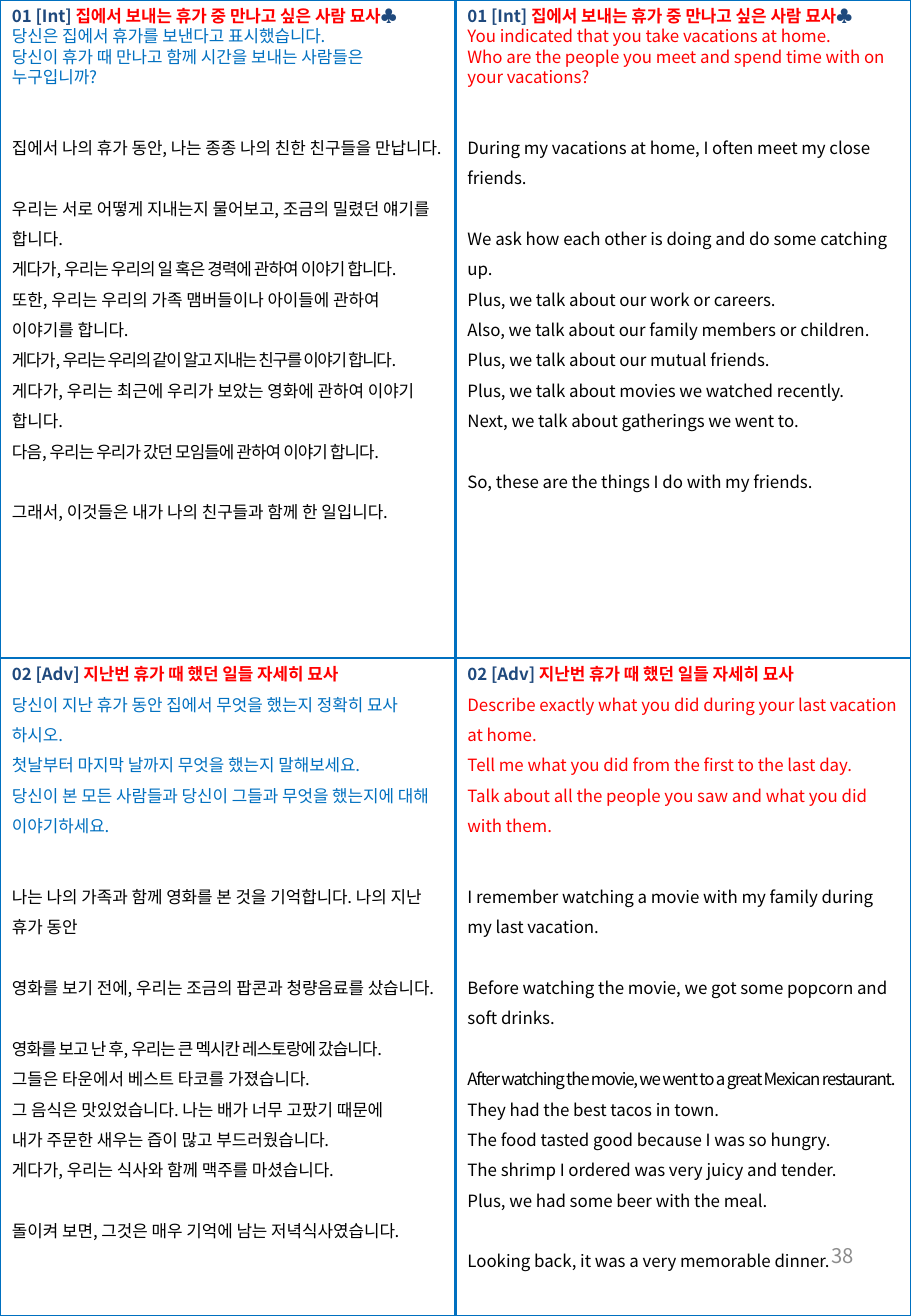
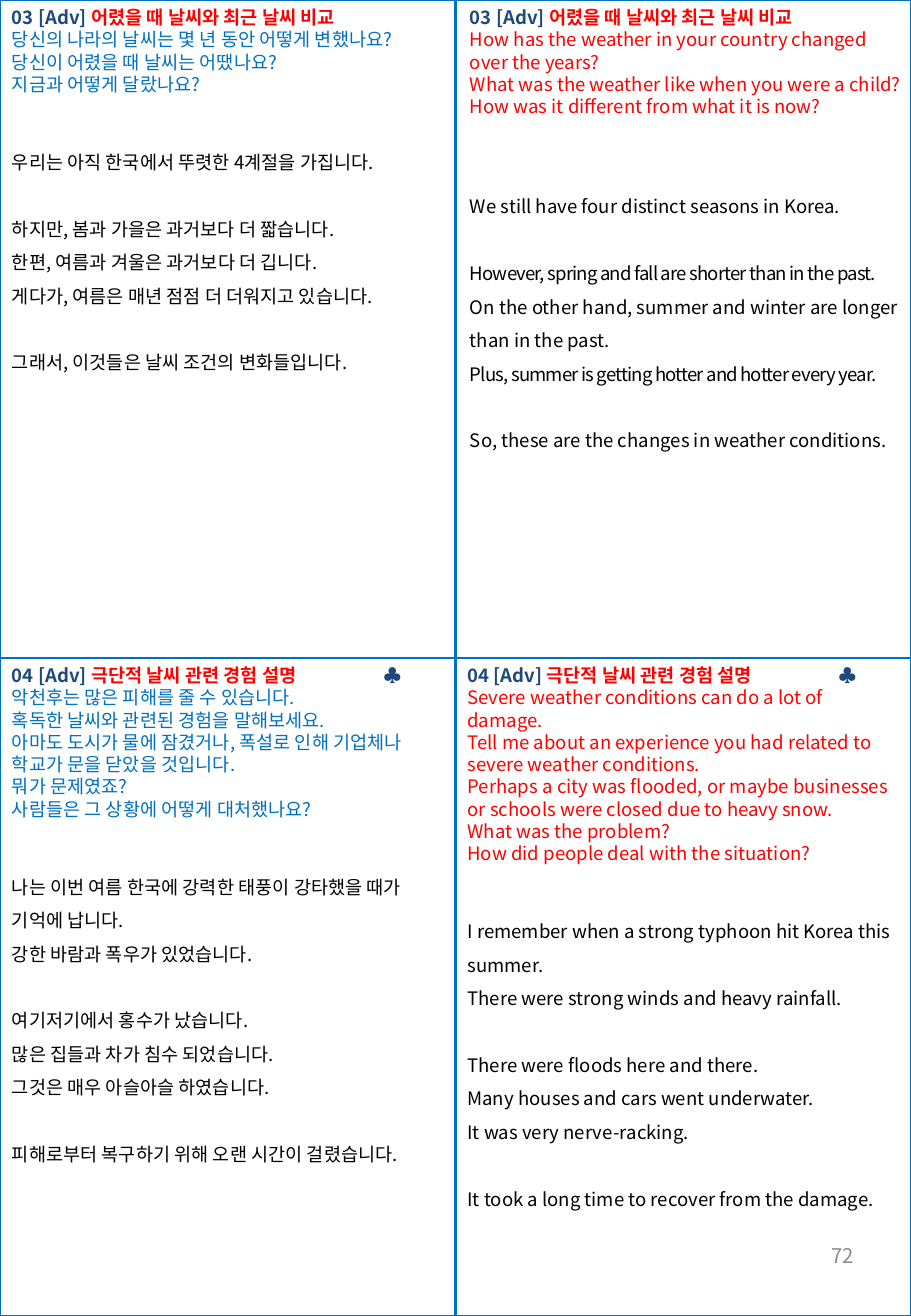
from lxml.etree import SubElement
from pptx import Presentation
from pptx.dml.color import RGBColor
from pptx.enum.shapes import MSO_CONNECTOR, MSO_SHAPE
from pptx.enum.text import MSO_ANCHOR, MSO_AUTO_SIZE, PP_ALIGN
from pptx.oxml.ns import qn
from pptx.util import Pt

FONT = "Noto Sans CJK KR"
NAVY, BLUE, RED, BLACK, GRAY = "1F497D", "0070C0", "FF0000", "000000", "8C8C8C"
WIDTH, HEIGHT = 540, 780
HALF_WIDTH, HALF_HEIGHT = WIDTH / 2, HEIGHT / 2
SINGLE, WIDE = 1.2, 1.8  # line pitch as a multiple of the text size
CLUB_TAB = 220

# Each answer is a list of groups; a line may be a (text, letter spacing) pair.
VACATION_PEOPLE = {
    "tag": "01 [Int] ", "title": "집에서 보내는 휴가 중 만나고 싶은 사람 묘사", "club": "♣",
    "korean": {
        "height": 332,
        "question": ["당신은 집에서 휴가를 보낸다고 표시했습니다.\n"
                     "당신이 휴가 때 만나고 함께 시간을 보내는 사람들은 누구입니까?"],
        "answer": [
            ["집에서 나의 휴가 동안, 나는 종종 나의 친한 친구들을 만납니다."],
            ["우리는 서로 어떻게 지내는지 물어보고, 조금의 밀렸던 얘기를 합니다.",
             ("게다가, 우리는 우리의 일 혹은 경력에 관하여 이야기 합니다.", -0.5),
             "또한, 우리는 우리의 가족 맴버들이나 아이들에 관하여 이야기를 합니다.",
             ("게다가, 우리는 우리의 같이 알고 지내는 친구를 이야기 합니다.", -0.8),
             "게다가, 우리는 최근에 우리가 보았는 영화에 관하여 이야기 합니다.",
             ("다음, 우리는 우리가 갔던 모임들에 관하여 이야기 합니다.", -0.5)],
            ["그래서, 이것들은 내가 나의 친구들과 함께 한 일입니다."],
        ],
    },
    "english": {
        "height": 296,
        "question": ["You indicated that you take vacations at home.",
                     "Who are the people you meet and spend time with on your vacations?"],
        "answer": [
            ["During my vacations at home, I often meet my close friends."],
            ["We ask how each other is doing and do some catching up.",
             "Plus, we talk about our work or careers.",
             "Also, we talk about our family members or children.",
             "Plus, we talk about our mutual friends.",
             "Plus, we talk about movies we watched recently.",
             "Next, we talk about gatherings we went to."],
            ["So, these are the things I do with my friends."],
        ],
    },
}

LAST_VACATION = {
    "tag": "02 [Adv] ", "title": "지난번 휴가 때 했던 일들 자세히 묘사",
    "question_pitch": WIDE,
    "korean": {
        "height": 369,
        "question": ["당신이 지난 휴가 동안 집에서 무엇을 했는지 정확히 묘사 하시오.\n"
                     "첫날부터 마지막 날까지 무엇을 했는지 말해보세요.\n"
                     "당신이 본 모든 사람들과 당신이 그들과 무엇을 했는지에 대해 이야기하세요."],
        "answer": [
            ["나는 나의 가족과 함께 영화를 본 것을 기억합니다. 나의 지난 휴가 동안"],
            ["영화를 보기 전에, 우리는 조금의 팝콘과 청량음료를 샀습니다."],
            [("영화를 보고 난 후, 우리는 큰 멕시칸 레스토랑에 갔습니다.", -0.5),
             "그들은 타운에서 베스트 타코를 가졌습니다.",
             "그 음식은 맛있었습니다. 나는 배가 너무 고팠기 때문에",
             "내가 주문한 새우는 즙이 많고 부드러웠습니다.",
             "게다가, 우리는 식사와 함께 맥주를 마셨습니다."],
            ["돌이켜 보면, 그것은 매우 기억에 남는 저녁식사였습니다."],
        ],
    },
    "english": {
        "height": 369,
        "question": ["Describe exactly what you did during your last vacation at home.",
                     "Tell me what you did from the first to the last day.",
                     "Talk about all the people you saw and what you did with them."],
        "answer": [
            ["I remember watching a movie with my family during my last vacation."],
            ["Before watching the movie, we got some popcorn and soft drinks."],
            [("After watching the movie, we went to a great Mexican restaurant.", -0.7),
             "They had the best tacos in town.",
             "The food tasted good because I was so hungry.",
             "The shrimp I ordered was very juicy and tender.",
             "Plus, we had some beer with the meal."],
            ["Looking back, it was a very memorable dinner."],
        ],
    },
}

WEATHER_CHANGE = {
    "tag": "03 [Adv] ", "title": "어렸을 때 날씨와 최근 날씨 비교",
    "korean": {
        "height": 224,
        "question": ["당신의 나라의 날씨는 몇 년 동안 어떻게 변했나요?\n"
                     "당신이 어렸을 때 날씨는 어땠나요?\n지금과 어떻게 달랐나요?"],
        "answer": [
            ["우리는 아직 한국에서 뚜렷한 4계절을 가집니다."],
            ["하지만, 봄과 가을은 과거보다 더 짧습니다.",
             "한편, 여름과 겨울은 과거보다 더 깁니다.",
             "게다가, 여름은 매년 점점 더 더워지고 있습니다."],
            ["그래서, 이것들은 날씨 조건의 변화들입니다."],
        ],
    },
    "english": {
        "height": 271.5, "shift": 1.5, "gap_pitch": WIDE,
        "question": ["How has the weather in your country changed over the years?",
                     "What was the weather like when you were a child?",
                     "How was it different from what it is now?"],
        "answer": [
            ["We still have four distinct seasons in Korea."],
            [("However, spring and fall are shorter than in the past.", -0.5),
             "On the other hand, summer and winter are longer than in the past.",
             ("Plus, summer is getting hotter and hotter every year.", -0.5)],
            ["So, these are the changes in weather conditions."],
        ],
    },
}

SEVERE_WEATHER = {
    "tag": "04 [Adv] ", "title": "극단적 날씨 관련 경험 설명", "club": "\t♣",
    "korean": {
        "height": 317,
        "question": ["악천후는 많은 피해를 줄 수 있습니다.\n"
                     "혹독한 날씨와 관련된 경험을 말해보세요.\n"
                     "아마도 도시가 물에 잠겼거나, 폭설로 인해 기업체나 학교가 문을 닫았을 것입니다.\n"
                     "뭐가 문제였죠?\n사람들은 그 상황에 어떻게 대처했나요?"],
        "answer": [
            ["나는 이번 여름 한국에 강력한 태풍이 강타했을 때가 기억에 납니다.",
             "강한 바람과 폭우가 있었습니다."],
            ["여기저기에서 홍수가 났습니다.",
             "많은 집들과 차가 침수 되었습니다.",
             "그것은 매우 아슬아슬 하였습니다."],
            ["피해로부터 복구하기 위해 오랜 시간이 걸렸습니다."],
        ],
    },
    "english": {
        "height": 318,
        "question": ["Severe weather conditions can do a lot of damage.",
                     "Tell me about an experience you had related to severe weather conditions.",
                     "Perhaps a city was flooded, or maybe businesses or schools were closed "
                     "due to heavy snow.",
                     "What was the problem?",
                     "How did people deal with the situation?"],
        "answer": [
            ["I remember when a strong typhoon hit Korea this summer.",
             "There were strong winds and heavy rainfall."],
            ["There were floods here and there.",
             "Many houses and cars went underwater.",
             "It was very nerve-racking."],
            ["It took a long time to recover from the damage."],
        ],
    },
}


def rgb(value):
    return RGBColor.from_string(value)


def set_all(target, formats):
    for name, value in formats.items():
        setattr(target, name, value)


def add_text(paragraph, text, size, color, bold=False, spacing=0):
    """Append a run, turning each newline into a line break."""
    for index, piece in enumerate(text.split("\n")):
        if index:
            paragraph.add_line_break()
        run = paragraph.add_run()
        run.text = piece
        set_all(run.font, {"name": FONT, "size": Pt(size), "bold": bold})
        run.font.color.rgb = rgb(color)
        properties = run.font._element
        SubElement(properties, qn("a:ea"), typeface=FONT)
        if spacing:
            properties.set("spc", str(round(spacing * 100)))


def add_text_box(slide, left, top, width, height, formats):
    box = slide.shapes.add_textbox(Pt(left), Pt(top), Pt(width), Pt(height))
    set_all(box.text_frame, {"word_wrap": True, **formats})
    return box.text_frame


def add_heading(paragraph, topic, size):
    club = topic.get("club", "")
    if club.startswith("\t"):
        tabs = SubElement(paragraph._p.get_or_add_pPr(), qn("a:tabLst"))
        SubElement(tabs, qn("a:tab"), pos=str(Pt(CLUB_TAB)), algn="l")
    paragraph.line_spacing = Pt(size * SINGLE)
    for text, color in ((topic["tag"], NAVY), (topic["title"], RED), (club, NAVY)):
        if text:
            add_text(paragraph, text, size, color, bold=True)


def add_card(slide, left, top, topic, language, size):
    card = topic[language]
    frame = add_text_box(slide, left + card.get("shift", 0), top, HALF_WIDTH, card["height"],
                         {"auto_size": MSO_AUTO_SIZE.SHAPE_TO_FIT_TEXT})
    add_heading(frame.paragraphs[0], topic, size)

    def add_line(text, color, pitch, before=0, spacing=0):
        paragraph = frame.add_paragraph()
        set_all(paragraph, {"line_spacing": Pt(size * pitch), "space_before": Pt(before)})
        add_text(paragraph, text, size, color, spacing=spacing)

    for text in card["question"]:
        add_line(text, BLUE if language == "korean" else RED,
                 topic.get("question_pitch", SINGLE))
    gap = 2 * size * card.get("gap_pitch", SINGLE)
    for group in card["answer"]:
        for line in group:
            text, spacing = line if isinstance(line, tuple) else (line, 0)
            add_line(text, BLACK, WIDE, gap, spacing)
            gap = 0
        gap = size * WIDE


def add_grid(slide):
    frame = slide.shapes.add_shape(MSO_SHAPE.RECTANGLE, 0, 0, Pt(WIDTH), Pt(HEIGHT))
    frame.shadow.inherit = False
    frame.fill.background()
    dividers = []
    for start, end in ((1, 3), (0, 2)):
        divider = slide.shapes.add_connector(MSO_CONNECTOR.STRAIGHT, 0, 0, 0, 0)
        divider.begin_connect(frame, start)
        divider.end_connect(frame, end)
        SubElement(divider._element.spPr, qn("a:effectLst"))
        dividers.append(divider)
    for shape in (frame, *dividers):
        shape.line.color.rgb = rgb(BLUE)
        shape.line.width = Pt(1.5)


def add_page_number(slide, number):
    frame = add_text_box(slide, 387, 723, 126, 42, {"vertical_anchor": MSO_ANCHOR.MIDDLE})
    paragraph = frame.paragraphs[0]
    paragraph.alignment = PP_ALIGN.RIGHT
    add_text(paragraph, str(number), 12, GRAY)


def add_card_slide(presentation, number, size, topics):
    slide = presentation.slides.add_slide(presentation.slide_layouts[6])
    add_grid(slide)
    add_page_number(slide, number)
    for row, topic in enumerate(topics):
        for column, language in enumerate(("korean", "english")):
            add_card(slide, column * HALF_WIDTH, row * HALF_HEIGHT, topic, language, size)


def main():
    presentation = Presentation()
    set_all(presentation, {"slide_width": Pt(WIDTH), "slide_height": Pt(HEIGHT)})
    add_card_slide(presentation, 38, 10, (VACATION_PEOPLE, LAST_VACATION))
    add_card_slide(presentation, 72, 11, (WEATHER_CHANGE, SEVERE_WEATHER))
    presentation.save("out.pptx")


if __name__ == "__main__":
    main()
